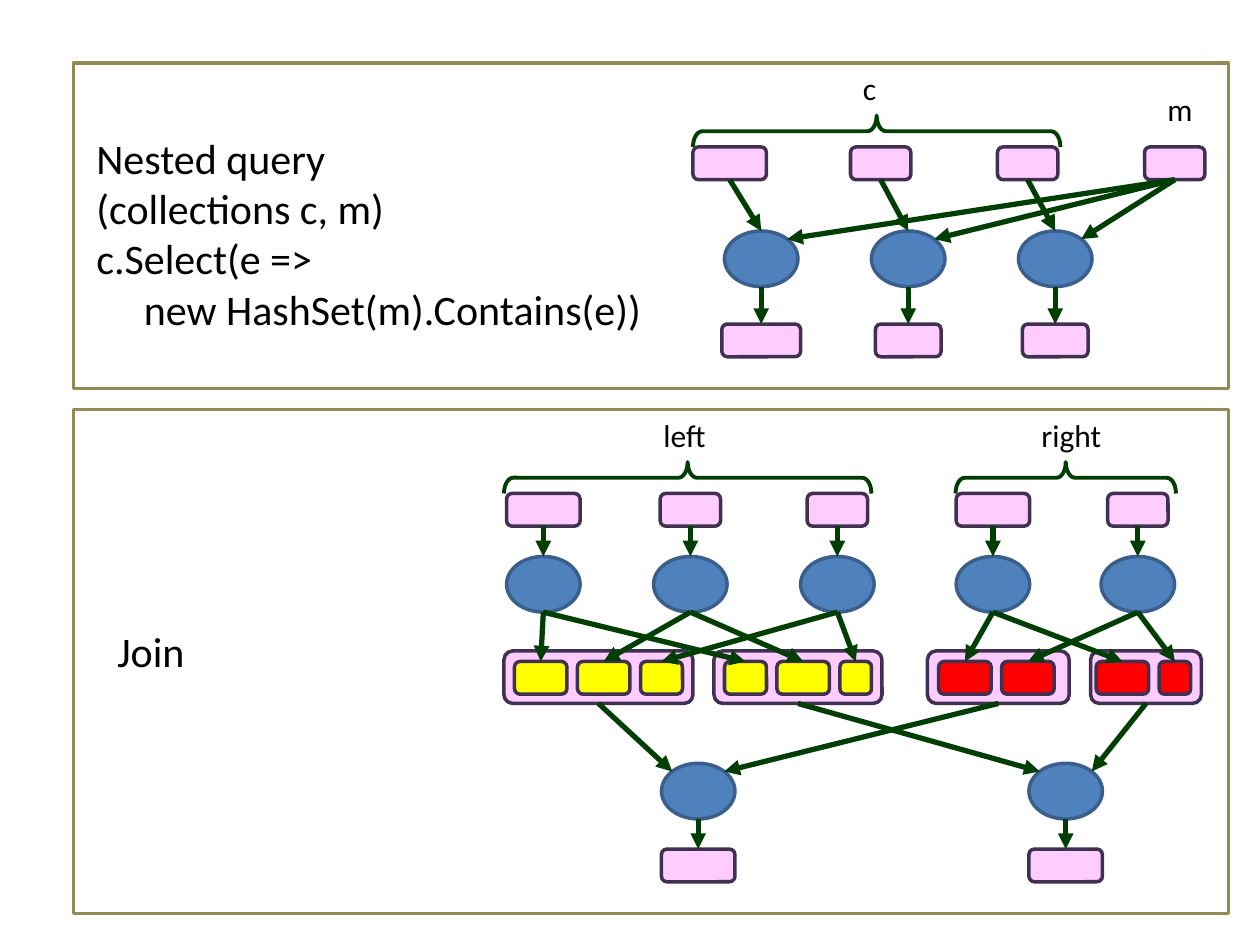
import math
from dataclasses import dataclass

import pptx
import pptx.dml.color
import pptx.enum.dml
import pptx.enum.shapes
import pptx.enum.text
import pptx.oxml.ns
import pptx.util
from lxml import etree

Pt = pptx.util.Pt
SHAPE = pptx.enum.shapes.MSO_SHAPE
qn = pptx.oxml.ns.qn


@dataclass(frozen=True)
class Theme:
    font: str = "Calibri"
    heading_size: float = 24
    label_size: float = 18
    text: str = "000000"
    data: str = "FFCCFF"
    data_edge: str = "403152"
    vertex: str = "4F81BD"
    vertex_edge: str = "3A5F8C"
    left_part: str = "FFFF00"
    right_part: str = "FF0000"
    flow: str = "003E03"
    panel: str = "948A54"
    edge_width: float = 2
    brace_width: float = 2.25
    flow_width: float = 3


THEME = Theme()
WIDE, NARROW = 42, 34.5
DATA_HEIGHT = 18.7
VERTEX_HEIGHT = 31.8
PITCH = 84
TOP, BOTTOM = 0, 2
VERTEX_TOP, VERTEX_TOP_LEFT, VERTEX_BOTTOM, VERTEX_TOP_RIGHT = 0, 1, 4, 7


def rgb(color):
    return pptx.dml.color.RGBColor.from_string(color)


def add_outline(slide, kind, box, edge, width, fill=None):
    shape = slide.shapes.add_shape(kind, *map(Pt, box))
    shape.shadow.inherit = False
    if fill:
        shape.fill.solid()
        shape.fill.fore_color.rgb = rgb(fill)
    else:
        shape.fill.background()
    shape.line.color.rgb = rgb(edge)
    shape.line.width = Pt(width)
    return shape


def add_panel(slide, top, height):
    add_outline(slide, SHAPE.RECTANGLE, (42, top, 660, height), THEME.panel, THEME.edge_width)


def add_data(slide, left, top, width, height=DATA_HEIGHT, fill=THEME.data):
    return add_outline(slide, SHAPE.ROUNDED_RECTANGLE, (left, top, width, height),
                       THEME.data_edge, THEME.edge_width, fill)


def add_data_row(slide, centers, top, widths):
    return [add_data(slide, center - width / 2, top, width)
            for center, width in zip(centers, widths)]


def add_vertices(slide, centers, top):
    return [add_outline(slide, SHAPE.OVAL, (center - WIDE / 2, top, WIDE, VERTEX_HEIGHT),
                        THEME.vertex_edge, THEME.edge_width, THEME.vertex)
            for center in centers]


def add_partition(slide, left, width, inset, cell_widths, fill):
    partition = add_data(slide, left, 372, width, 30)
    cells = []
    cell_left = left + inset
    for cell_width in cell_widths:
        cells.append(add_data(slide, cell_left, 378, cell_width, fill=fill))
        cell_left += cell_width + 6
    return partition, cells


def add_brace(slide, left, top, width):
    depth = 18
    box = (left + (width - depth) / 2, top + (depth - width) / 2, depth, width)
    brace = add_outline(slide, SHAPE.RIGHT_BRACE, box, THEME.flow, THEME.brace_width)
    brace.rotation = 270
    brace.adjustments[0] = 0.292


def add_text(slide, box, lines, size):
    frame = slide.shapes.add_textbox(*map(Pt, box)).text_frame
    frame.word_wrap = False
    frame.auto_size = pptx.enum.text.MSO_AUTO_SIZE.SHAPE_TO_FIT_TEXT
    frame.text = "\n".join(lines)
    for paragraph in frame.paragraphs:
        for run in paragraph.runs:
            run.font.name = THEME.font
            run.font.size = Pt(size)
            run.font.color.rgb = rgb(THEME.text)


def site_point(shape, site):
    sites = 8 if shape.auto_shape_type == SHAPE.OVAL else 4
    angle = 2 * math.pi * site / sites
    return (round(shape.left + shape.width * (1 - math.sin(angle)) / 2),
            round(shape.top + shape.height * (1 - math.cos(angle)) / 2))


def add_flow(slide, source, source_site, target, target_site):
    arrow = slide.shapes.add_connector(
        pptx.enum.shapes.MSO_CONNECTOR.STRAIGHT,
        *site_point(source, source_site), *site_point(target, target_site))
    arrow.line.color.rgb = rgb(THEME.flow)
    arrow.line.width = Pt(THEME.flow_width)
    etree.SubElement(arrow.line._get_or_add_ln(), qn("a:tailEnd"), type="triangle")
    etree.SubElement(arrow._element.spPr, qn("a:effectLst"))
    glue = arrow._element.find(".//" + qn("p:cNvCxnSpPr"))
    for tag, shape, site in (("a:stCxn", source, source_site), ("a:endCxn", target, target_site)):
        etree.SubElement(glue, qn(tag), id=str(shape.shape_id), idx=str(site))


def add_nested_query(slide):
    add_panel(slide, 36, 186)
    add_text(slide, (48, 72, 328, 124),
             ["Nested query", "(collections c, m)", "c.Select(e =>",
              "     new HashSet(m).Contains(e))"], THEME.heading_size)
    add_text(slide, (486, 36, 22, 29), ["c"], THEME.label_size)
    add_text(slide, (660, 48, 29, 29), ["m"], THEME.label_size)
    add_brace(slide, 396, 66, 210)

    centers = [435 + PITCH * column for column in range(3)]
    inputs = add_data_row(slide, (417, 503.25, 587.25), 84, (WIDE, NARROW, NARROW))
    shared = add_data(slide, 654, 84, NARROW)
    vertices = add_vertices(slide, centers, 132)
    outputs = add_data_row(slide, centers, 185.2, (45, 37.5, 37.5))
    for entry, vertex, result in zip(inputs, vertices, outputs):
        add_flow(slide, entry, BOTTOM, vertex, VERTEX_TOP)
        add_flow(slide, vertex, VERTEX_BOTTOM, result, TOP)
        add_flow(slide, shared, BOTTOM, vertex, VERTEX_TOP_RIGHT)


def add_join_side(slide, centers, widths, partitions, fill):
    built = [add_partition(slide, *partition, fill) for partition in partitions]
    inputs = add_data_row(slide, centers, 282, widths)
    vertices = add_vertices(slide, centers, 318)
    for column, (entry, vertex) in enumerate(zip(inputs, vertices)):
        add_flow(slide, entry, BOTTOM, vertex, VERTEX_TOP)
        for _, cells in built:
            add_flow(slide, vertex, VERTEX_BOTTOM, cells[column], TOP)
    return [partition for partition, _ in built]


def add_join(slide):
    add_panel(slide, 234, 288)
    add_text(slide, (60, 354, 53, 36), ["Join"], THEME.heading_size)
    add_text(slide, (372, 234, 40, 29), ["left"], THEME.label_size)
    add_text(slide, (588, 234, 49, 29), ["right"], THEME.label_size)
    add_brace(slide, 288, 264, 210)
    add_brace(slide, 546, 264, 126)

    left_parts = add_join_side(
        slide, [310.5 + PITCH * column for column in range(3)], (WIDE, NARROW, NARROW),
        [(288, 108, 6, (30, 30, 24)), (408, 96, 6, (24, 30, 18))], THEME.left_part)
    right_parts = add_join_side(
        slide, (567.4, 650.2), (WIDE, NARROW),
        [(530, 81, 6.4, (30, 30)), (623.2, 63.3, 3.2, (30, 18))], THEME.right_part)

    centers = (399, 609)
    joins = add_vertices(slide, centers, 436.2)
    results = add_data_row(slide, centers, 485.2, (WIDE, WIDE))
    for left_part, right_part, join, result in zip(left_parts, right_parts, joins, results):
        add_flow(slide, left_part, BOTTOM, join, VERTEX_TOP_LEFT)
        add_flow(slide, right_part, BOTTOM, join, VERTEX_TOP_RIGHT)
        add_flow(slide, join, VERTEX_BOTTOM, result, TOP)


def main():
    deck = pptx.Presentation()
    deck.slide_width, deck.slide_height = Pt(720), Pt(540)
    slide = deck.slides.add_slide(deck.slide_layouts[6])
    add_nested_query(slide)
    add_join(slide)
    deck.save("out.pptx")


if __name__ == "__main__":
    main()
